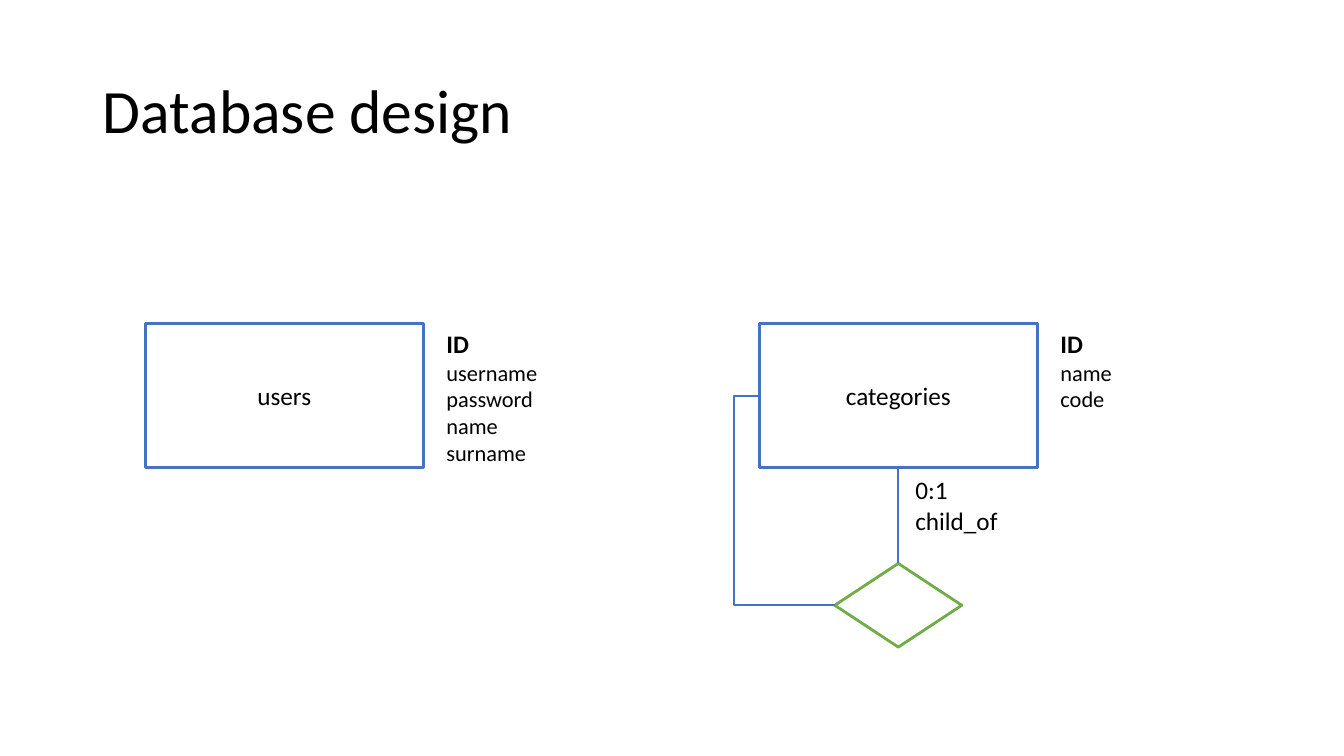
from lxml import etree
from pptx import Presentation
from pptx.dml.color import RGBColor
from pptx.enum.shapes import MSO_CONNECTOR as CONN, MSO_SHAPE as SHAPE
from pptx.enum.text import MSO_ANCHOR as ANCHOR, MSO_AUTO_SIZE as AUTO, PP_ALIGN as ALIGN
from pptx.oxml.ns import qn
from pptx.util import Pt

PX = 9144  # 100 px to the inch
FONT = "Calibri"
BLACK, WHITE, BLUE, GREEN = "000000", "FFFFFF", "4472C4", "70AD47"
TOP, LEFT, BOTTOM = 0, 1, 2


def px(*lengths):
    return [n * PX for n in lengths]


def rgb(code):
    return RGBColor.from_string(code)


def write(p, text, size=18, bold=False, align=ALIGN.LEFT, spacing=None):
    p.alignment = align
    p.line_spacing = spacing
    r = p.add_run()
    r.text = text
    r.font.name, r.font.size, r.font.bold = FONT, Pt(size), bold
    r.font.color.rgb = rgb(BLACK)


def add_label(s, box, lines, wrap=False):
    """Text box; lines are (text, format) pairs."""
    tf = s.shapes.add_textbox(*px(*box)).text_frame
    tf.word_wrap = wrap
    for i, (text, fmt) in enumerate(lines):
        write(tf.add_paragraph() if i else tf.paragraphs[0], text, **fmt)


def add_node(s, kind, box, color, text=None):
    node = s.shapes.add_shape(kind, *px(*box))
    node.shadow.inherit = False
    node.fill.solid()
    node.fill.fore_color.rgb = rgb(WHITE)
    node.line.color.rgb = rgb(color)
    node.line.width = Pt(2)
    if text:
        node.text_frame.vertical_anchor = ANCHOR.MIDDLE
        write(node.text_frame.paragraphs[0], text, align=ALIGN.CENTER)
    return node


def join(s, kind, start, start_site, end, end_site):
    line = s.shapes.add_connector(kind, 0, 0, 0, 0)
    line.begin_connect(start, start_site)
    line.end_connect(end, end_site)
    line.line.color.rgb = rgb(BLUE)
    line.line.width = Pt(1.5)
    etree.SubElement(line._element.spPr, qn("a:effectLst"))
    return line


def add_title(s, box, text):
    title = s.shapes.title
    title.left, title.top, title.width, title.height = px(*box)
    tf = title.text_frame
    tf.auto_size = AUTO.NONE
    tf.vertical_anchor = ANCHOR.MIDDLE
    write(tf.paragraphs[0], text, size=44, spacing=0.9)


def add_entity(s, box, name, fields):
    """Entity rectangle with its key and fields listed to the right."""
    x, y, w, h = box
    lines = [("ID", {"bold": True})] + [(f, {"size": 16}) for f in fields]
    add_label(s, (x + w + 13, y, 147, h), lines, wrap=True)
    return add_node(s, SHAPE.RECTANGLE, box, BLUE, name)


def add_self_relation(s, entity, box, cardinality, name):
    """Diamond under an entity, joined to its bottom and left sides."""
    x, y, w, h = box
    diamond = add_node(s, SHAPE.DIAMOND, box, GREEN)
    join(s, CONN.STRAIGHT, entity, BOTTOM, diamond, TOP)

    # The loop runs 25 px outside the entity's left side
    loop = join(s, CONN.ELBOW, diamond, LEFT, entity, LEFT)
    bend = round((loop.width + 25 * PX) / loop.width * 100000)
    guides = loop._element.spPr.find(qn("a:prstGeom")).get_or_add_avLst()
    etree.SubElement(guides, qn("a:gd"), name="adj1", fmla=f"val {bend}")

    label_x = x + w // 2 + 7
    add_label(s, (label_x, y - 93, 56, 30), [(cardinality, {})])
    add_label(s, (label_x, y - 63, 106, 40), [(name, {})])


def main():
    prs = Presentation()
    prs.slide_width, prs.slide_height = px(1333, 750)
    s = prs.slides.add_slide(prs.slide_layouts[5])

    add_title(s, (92, 40, 1150, 145), "Database design")
    add_entity(s, (144, 321, 276, 143), "users",
               ["username", "password", "name", "surname"])
    categories = add_entity(s, (753, 321, 276, 143), "categories", ["name", "code"])
    add_self_relation(s, categories, (828, 559, 126, 83), "0:1", "child_of")

    prs.save("out.pptx")


if __name__ == "__main__":
    main()
